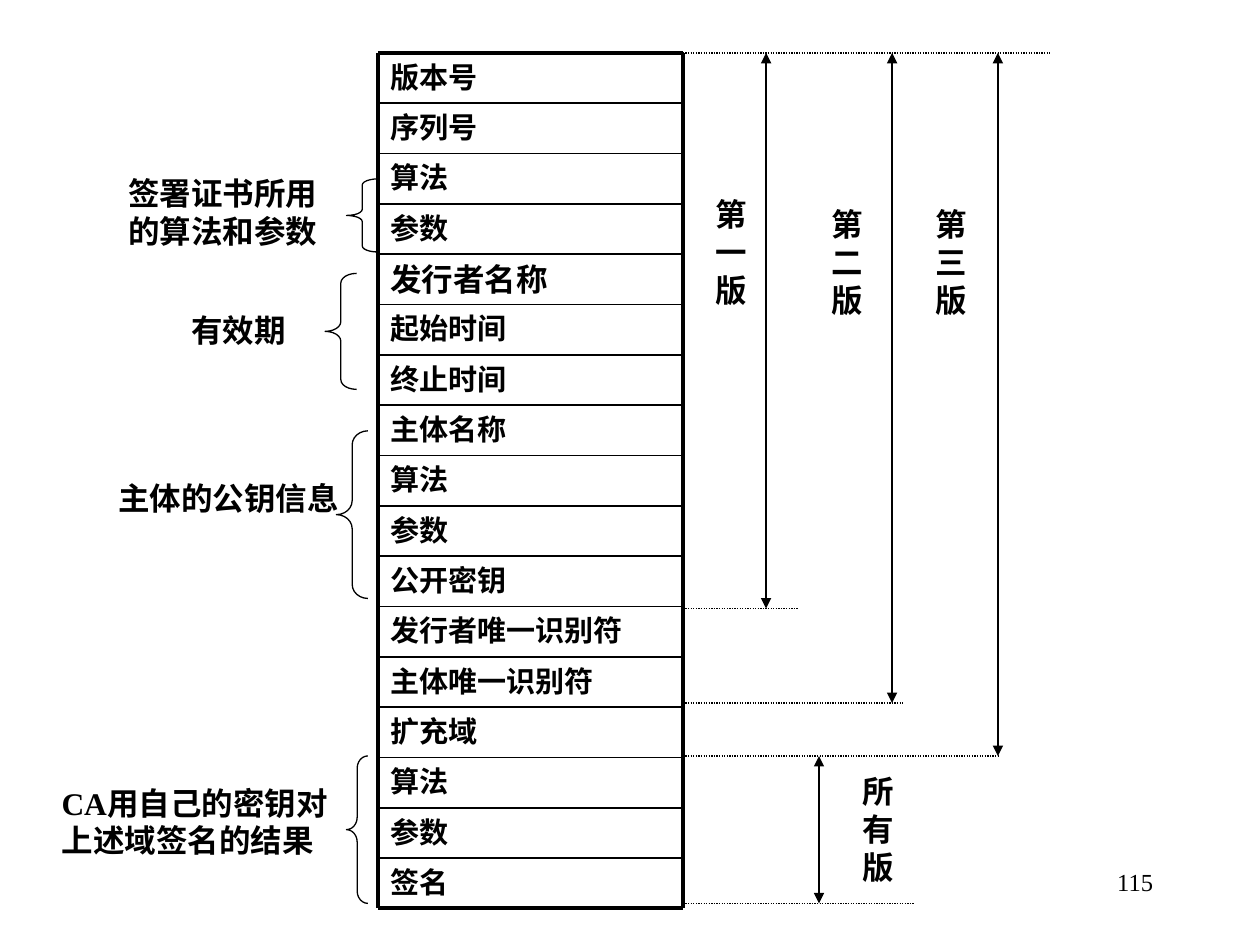
from dataclasses import dataclass

from lxml.etree import SubElement
from pptx import Presentation
from pptx.dml.color import RGBColor
from pptx.enum.dml import MSO_LINE
from pptx.enum.shapes import MSO_CONNECTOR as Connector, MSO_SHAPE as Shape
from pptx.enum.text import MSO_AUTO_SIZE as AutoSize, PP_ALIGN as Align
from pptx.oxml.ns import qn
from pptx.util import Inches, Pt


@dataclass(frozen=True)
class Theme:
    ink: RGBColor = RGBColor(0, 0, 0)
    font: str = "Times New Roman"
    field_size: float = 16.6
    label_size: float = 18
    page_size: float = 14
    frame: float = 2.25
    rule: float = 1
    thin: float = 0.75


@dataclass(frozen=True)
class Label:
    left: float
    top: float
    width: float
    height: float
    lines: tuple[str, ...]
    wrap: bool = False


@dataclass(frozen=True)
class Brace:
    left: float
    top: float
    width: float
    height: float


@dataclass(frozen=True)
class Span:
    """A double arrow showing which fields a version covers."""
    x: float
    top: float
    bottom: float


THEME = Theme()

# Certificate fields, top to bottom
FIELDS = ("版本号", "序列号", "算法", "参数", "发行者名称", "起始时间", "终止时间",
          "主体名称", "算法", "参数", "公开密钥", "发行者唯一识别符",
          "主体唯一识别符", "扩充域", "算法", "参数", "签名")
LARGE_FIELD = "发行者名称"
LEFT, RIGHT, TOP, BOTTOM = 3, 5.42, 0.42, 7.21
ROW_HEIGHT = (BOTTOM - TOP) / len(FIELDS)

BRACES = (Brace(2.75, 1.42, 0.25, 0.58), Brace(2.58, 2.17, 0.25, 0.92),
          Brace(2.67, 3.42, 0.25, 1.33), Brace(2.75, 6, 0.17, 1.17))

LABELS = (
    Label(0.92, 1.33, 1.7, 0.7, ("签署证书所用", "的算法和参数")),
    Label(1.42, 2.42, 0.95, 0.4, ("有效期",)),
    Label(0.84, 3.75, 1.95, 0.4, ("主体的公钥信息",)),
    Label(0.39, 6.17, 2.37, 0.7, ("CA用自己的密钥对", "上述域签名的结果")),
    Label(6.75, 6.08, 0.42, 1, ("所有", "版"), wrap=True),
    Label(7.33, 1.58, 0.42, 1, ("第", "三", "版"), wrap=True),
    Label(6.5, 1.58, 0.42, 1, ("第", "二", "版"), wrap=True),
    Label(5.58, 1.5, 0.42, 1, ("第", "一", "版"), wrap=True),
)

# Height and right end of each guide line
GUIDES = ((TOP, 8.33), (4.83, 6.33), (5.58, 7.17), (6, 7.92), (7.17, 7.25))
SPANS = (Span(6.08, TOP, 4.83), Span(7.08, TOP, 5.58),
         Span(7.92, TOP, 6), Span(6.5, 6, 7.17))


def add_run(para, text: str, size: float, bold: bool = True) -> None:
    run = para.add_run()
    run.text = text
    font = run.font
    font.name, font.size, font.bold = THEME.font, Pt(size), bold
    font.color.rgb = THEME.ink


def add_box(slide, left: float, top: float, width: float, height: float,
            wrap: bool = True):
    box = slide.shapes.add_textbox(Inches(left), Inches(top),
                                   Inches(width), Inches(height))
    box.text_frame.word_wrap = wrap
    return box.text_frame


def add_line(slide, x1: float, y1: float, x2: float, y2: float,
             width: float = THEME.thin, dotted: bool = False, arrows: bool = False) -> None:
    connector = slide.shapes.add_connector(
        Connector.STRAIGHT, Inches(x1), Inches(y1), Inches(x2), Inches(y2))
    line = connector.line
    line.color.rgb = THEME.ink
    line.width = Pt(width)
    if dotted:
        line.dash_style = MSO_LINE.ROUND_DOT
    if arrows:
        for end in ("headEnd", "tailEnd"):
            SubElement(line._get_or_add_ln(), qn(f"a:{end}"), type="triangle")
    SubElement(connector._element.spPr, qn("a:effectLst"))


def add_fields(slide) -> None:
    for index, text in enumerate(FIELDS):
        box = add_box(slide, LEFT, TOP + index * ROW_HEIGHT, RIGHT - LEFT, ROW_HEIGHT)
        size = THEME.label_size if text == LARGE_FIELD else THEME.field_size
        add_run(box.paragraphs[0], text, size)
    for index in range(len(FIELDS) + 1):
        y = TOP + index * ROW_HEIGHT
        outer = index in (0, len(FIELDS))
        add_line(slide, LEFT, y, RIGHT, y, THEME.frame if outer else THEME.rule)
    for x in (LEFT, RIGHT):
        add_line(slide, x, TOP, x, BOTTOM, THEME.frame)


def add_brace(slide, brace: Brace) -> None:
    shape = slide.shapes.add_shape(
        Shape.LEFT_BRACE, Inches(brace.left), Inches(brace.top),
        Inches(brace.width), Inches(brace.height))
    shape.shadow.inherit = False
    shape.fill.background()
    shape.line.color.rgb = THEME.ink
    shape.line.width = Pt(THEME.thin)
    # Each curve takes a twelfth of the height
    shape.adjustments[0] = brace.height / 12 / brace.width


def add_label(slide, label: Label) -> None:
    text = add_box(slide, label.left, label.top, label.width, label.height, label.wrap)
    text.auto_size = AutoSize.SHAPE_TO_FIT_TEXT
    for index, line in enumerate(label.lines):
        para = text.add_paragraph() if index else text.paragraphs[0]
        add_run(para, line, THEME.label_size)


def add_page_number(slide, number: str) -> None:
    para = add_box(slide, 7.17, 6.83, 2.08, 0.5).paragraphs[0]
    para.alignment = Align.RIGHT
    add_run(para, number, THEME.page_size, bold=False)


def main() -> None:
    deck = Presentation()
    deck.slide_width, deck.slide_height = Inches(10), Inches(7.5)
    page = deck.slides.add_slide(deck.slide_layouts[6])

    # Certificate structure
    add_fields(page)
    # Groups of fields on the left
    for brace in BRACES:
        add_brace(page, brace)
    # Version ranges on the right
    for y, right in GUIDES:
        add_line(page, RIGHT, y, right, y, dotted=True)
    for span in SPANS:
        add_line(page, span.x, span.top, span.x, span.bottom, arrows=True)
    # Wording around the fields
    for label in LABELS:
        add_label(page, label)
    add_page_number(page, "115")

    deck.save("out.pptx")


if __name__ == "__main__":
    main()
